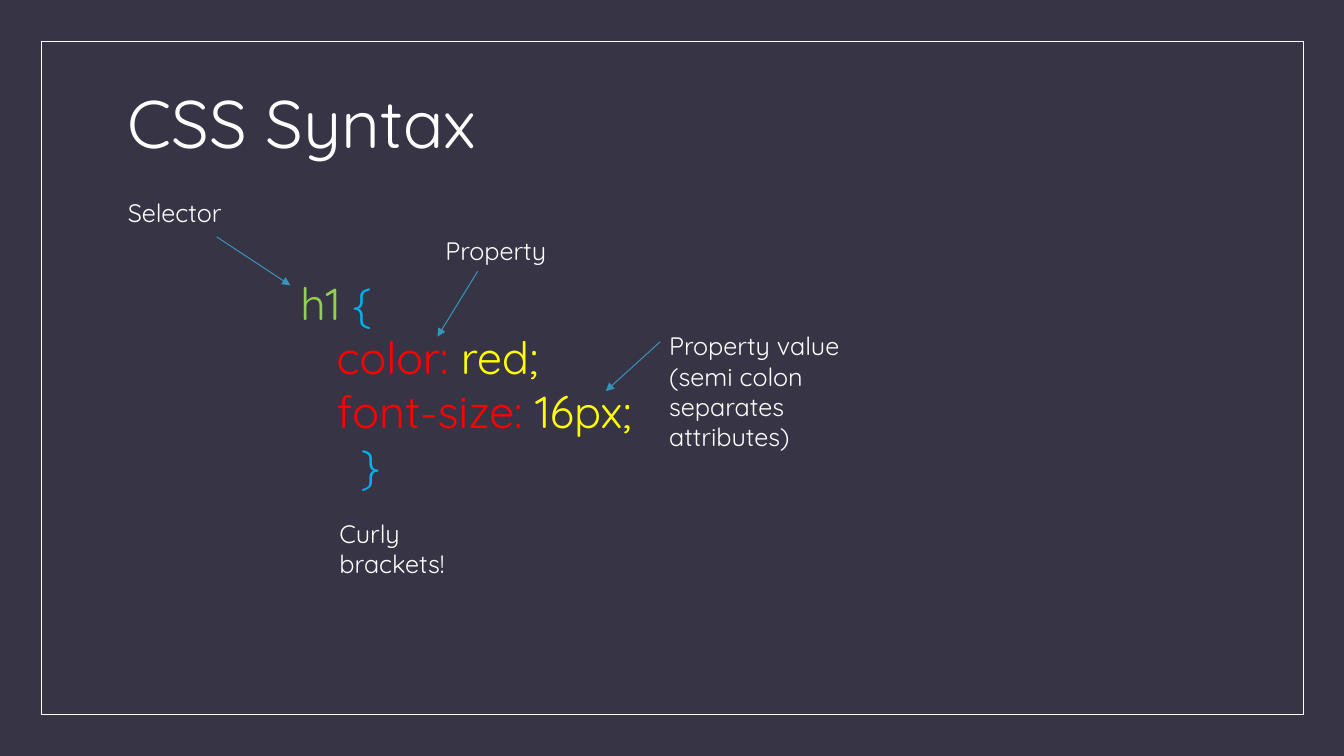
"""Build the CSS Syntax slide: a rule set with its parts labelled by arrows."""
from typing import NamedTuple

from lxml import etree
from pptx import Presentation
from pptx import util as u
from pptx.dml.color import RGBColor
from pptx.enum import shapes, text
from pptx.oxml import ns

FONT = "Quicksand"
BACKGROUND, FRAME, LABEL, ARROW = "373545", "FEFEFE", "FFFFFF", "3494BA"
SELECTOR, BRACKET, PROPERTY, VALUE = "92D050", "00B0F0", "FF0000", "FFFF00"


class Box(NamedTuple):
    left: float
    top: float
    width: float
    height: float


class Label(NamedTuple):
    wording: str
    box: Box


class Arrow(NamedTuple):
    start: tuple[float, float]
    tip: tuple[float, float]


class CodeLine(NamedTuple):
    indent: float
    tokens: list[tuple[str, str]]


LABELS = [
    Label("Selector", Box(84.2, 137.5, 135.4, 28.8)),
    Label("Property", Box(311, 164.9, 136.8, 28.8)),
    Label("Property value (semi colon separates attributes)", Box(470.9, 232.6, 177.1, 94.3)),
    Label("Curly brackets!", Box(235.4, 366.5, 116.6, 51.1)),
]
ARROWS = [
    Arrow((154.8, 169.2), (207.4, 203.8)),
    Arrow((341.3, 193.7), (312.5, 240.5)),
    Arrow((471.6, 244.1), (432.7, 279.4)),
]
CODE = [
    CodeLine(0, [("h1 ", SELECTOR), ("{", BRACKET)]),
    CodeLine(26, [("color: ", PROPERTY), ("red;", VALUE)]),
    CodeLine(26, [("font-size: ", PROPERTY), ("16px;", VALUE)]),
    CodeLine(43, [("}", BRACKET)]),
]


def rgb(value: str) -> RGBColor:
    """Turn a hex string into a colour."""
    return RGBColor.from_string(value)


def points(lengths) -> list[u.Length]:
    """Turn numbers into lengths in points."""
    return [u.Pt(length) for length in lengths]


def write(paragraph, wording: str, *, size: float, color: str) -> None:
    """Append a formatted run to a paragraph."""
    run = paragraph.add_run()
    run.text = wording
    run.font.name = FONT
    run.font.size = u.Pt(size)
    run.font.color.rgb = rgb(color)


def add_text_frame(slide, box: Box):
    """Add a wrapping text box and return its text frame."""
    frame = slide.shapes.add_textbox(*points(box)).text_frame
    frame.word_wrap = True
    return frame


def add_title(slide, wording: str, box: Box) -> None:
    """Place and format the title placeholder."""
    title = slide.shapes.title
    title.left, title.top, title.width, title.height = points(box)
    frame = title.text_frame
    frame.auto_size = text.MSO_AUTO_SIZE.NONE
    frame.vertical_anchor = text.MSO_ANCHOR.MIDDLE
    heading = frame.paragraphs[0]
    heading.alignment = text.PP_ALIGN.LEFT
    heading.line_spacing = 0.9
    write(heading, wording, size=48, color=FRAME)


def add_border(slide, box: Box) -> None:
    """Draw the thin border around the slide."""
    border = slide.shapes.add_shape(shapes.MSO_SHAPE.RECTANGLE, *points(box))
    border.shadow.inherit = False
    border.fill.background()
    border.line.color.rgb = rgb(FRAME)
    border.line.width = u.Pt(0.75)


def add_code(slide, lines: list[CodeLine], box: Box) -> None:
    """Write the rule set with one indented paragraph per line."""
    frame = add_text_frame(slide, box)
    for number, line in enumerate(lines):
        paragraph = frame.add_paragraph() if number else frame.paragraphs[0]
        paragraph._p.get_or_add_pPr().set("marL", str(u.Pt(line.indent)))
        for token, color in line.tokens:
            write(paragraph, token, size=32, color=color)


def add_label(slide, label: Label) -> None:
    """Write one label."""
    frame = add_text_frame(slide, label.box)
    write(frame.paragraphs[0], label.wording, size=18, color=LABEL)


def add_arrow(slide, arrow: Arrow) -> None:
    """Draw one arrow from a label to the code."""
    connector = slide.shapes.add_connector(
        shapes.MSO_CONNECTOR.STRAIGHT, *points(arrow.start + arrow.tip)
    )
    connector.line.color.rgb = rgb(ARROW)
    connector.line.width = u.Pt(0.75)
    outline = connector.line._get_or_add_ln()
    etree.SubElement(outline, ns.qn("a:tailEnd"), type="triangle")
    etree.SubElement(connector._element.spPr, ns.qn("a:effectLst"))


def main() -> None:
    """Assemble and save the slide."""
    deck = Presentation()
    deck.slide_width, deck.slide_height = points((960, 540))
    slide = deck.slides.add_slide(deck.slide_layouts.get_by_name("Title Only"))
    background = slide.background.fill
    background.solid()
    background.fore_color.rgb = rgb(BACKGROUND)

    add_border(slide, Box(29.5, 29.5, 901.4, 481))
    add_title(slide, "CSS Syntax", Box(84.2, 36.7, 792, 108))
    add_code(slide, CODE, Box(207.4, 193.7, 526.3, 162.7))
    for label in LABELS:
        add_label(slide, label)
    for arrow in ARROWS:
        add_arrow(slide, arrow)
    deck.save("out.pptx")


if __name__ == "__main__":
    main()
